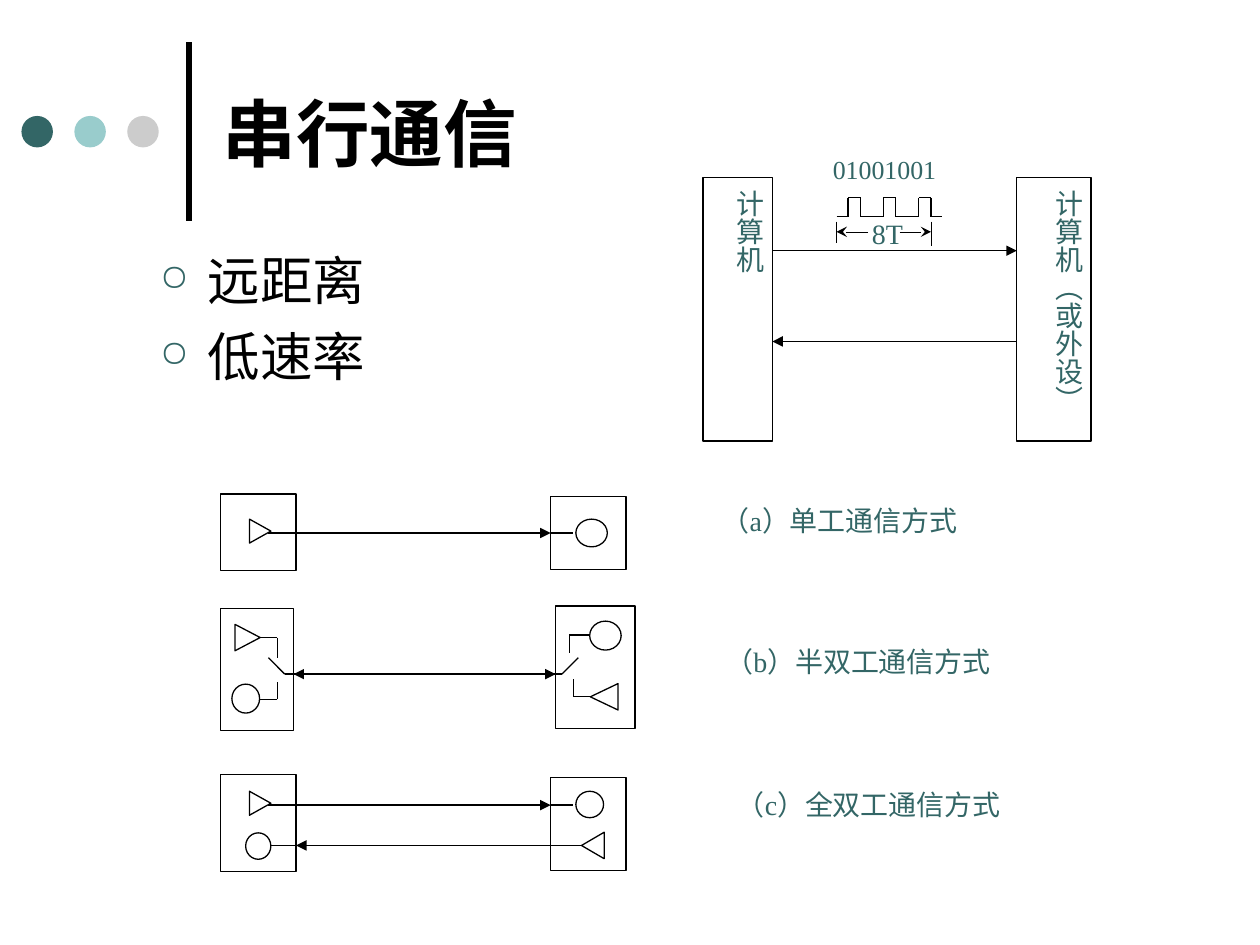
from itertools import pairwise

from lxml import etree
from pptx import Presentation, util as u
from pptx.dml.color import RGBColor
from pptx.enum import shapes as sh, text as tx
from pptx.oxml.ns import qn

SCALE = 9144
BLACK = RGBColor(0x00, 0x00, 0x00)
TEAL = RGBColor(0x33, 0x66, 0x66)
AQUA = RGBColor(0x99, 0xCC, 0xCC)
SILVER = RGBColor(0xCC, 0xCC, 0xCC)
SERIF = "Times New Roman"
RECT = sh.MSO_SHAPE.RECTANGLE
OVAL = sh.MSO_SHAPE.OVAL
TRIANGLE = sh.MSO_SHAPE.ISOSCELES_TRIANGLE
LABEL = {"size": u.Pt(16), "name": SERIF}
TITLE = {"size": u.Pt(42), "name": SERIF, "bold": True}
BULLET = {"size": u.Pt(30), "name": "Arial"}


def px(*lengths):
    return [length * SCALE for length in lengths]


def apply(target, formats):
    for name, value in formats.items():
        setattr(target, name, value)


def write(paragraph, words, font, color, **layout):
    paragraph.text = words
    apply(paragraph, layout)
    apply(paragraph.font, font)
    paragraph.font.color.rgb = color


def text_box(slide, box, **frame_formats):
    frame = slide.shapes.add_textbox(*px(*box)).text_frame
    apply(frame, {"word_wrap": True, **frame_formats})
    return frame


def no_insets():
    return {f"margin_{side}": 0 for side in ("left", "top", "right", "bottom")}


def outline(slide, kind, box, rotation=0):
    shape = slide.shapes.add_shape(kind, *px(*box))
    shape.shadow.inherit = False
    shape.rotation = rotation
    shape.fill.background()
    shape.line.color.rgb = BLACK
    shape.line.width = u.Pt(0.75)
    return shape


def line(slide, start, end, width=0.75, head=None, tail=None):
    wire = slide.shapes.add_connector(
        sh.MSO_CONNECTOR.STRAIGHT, *px(*start, *end))
    wire.line.color.rgb = BLACK
    wire.line.width = u.Pt(width)
    ln = wire.line._get_or_add_ln()
    for tag, arrow in (("a:headEnd", head), ("a:tailEnd", tail)):
        if arrow:
            etree.SubElement(ln, qn(tag), type=arrow)
    etree.SubElement(wire._element.spPr, qn("a:effectLst"))
    return wire


def polyline(slide, x, y, points):
    for (x1, y1), (x2, y2) in pairwise(points):
        line(slide, (x + x1, y + y1), (x + x2, y + y2))


def heading(slide, x, y, words):
    line(slide, (x + 133, y + 142), (x + 133, y), width=3)
    for index, color in enumerate((TEAL, AQUA, SILVER)):
        dot = outline(slide, OVAL, (x + 42 * index, y + 59, 25, 25))
        dot.fill.solid()
        dot.fill.fore_color.rgb = color
        dot.line.fill.background()
    frame = text_box(slide, (x + 150, y - 12, 767, 167),
                     vertical_anchor=tx.MSO_ANCHOR.MIDDLE)
    write(frame.paragraphs[0], words, TITLE, BLACK)


def bullet_list(slide, box, items):
    frame = text_box(slide, box)
    for index, item in enumerate(items):
        paragraph = frame.add_paragraph() if index else frame.paragraphs[0]
        properties = paragraph._p.get_or_add_pPr()
        properties.set("marL", str(38 * SCALE))
        properties.set("indent", str(-38 * SCALE))
        bullet_color = etree.SubElement(properties, qn("a:buClr"))
        etree.SubElement(bullet_color, qn("a:srgbClr"), val=str(TEAL))
        etree.SubElement(properties, qn("a:buSzPct"), val="70000")
        etree.SubElement(properties, qn("a:buChar"), char="○")
        write(paragraph, item, BULLET, BLACK,
              space_before=u.Pt(7.5 if index else 0))


def computer(slide, box, words):
    frame = outline(slide, RECT, box).text_frame
    apply(frame, {"margin_left": 5 * SCALE, "margin_right": 5 * SCALE,
                  "margin_top": 10 * SCALE, "margin_bottom": 10 * SCALE,
                  "vertical_anchor": tx.MSO_ANCHOR.TOP, "word_wrap": True})
    frame._txBody.bodyPr.set("vert", "eaVert")
    write(frame.paragraphs[0], words, LABEL, TEAL,
          alignment=tx.PP_ALIGN.CENTER)


def pulse_train(slide, x, y, bits, duration):
    points = [(0, 15)]
    for rise in (9, 37, 65):
        points += [(rise, 15), (rise, 0), (rise + 10, 0), (rise + 10, 15)]
    polyline(slide, x, y, points + [(84, 15)])
    for edge, bottom, inner in ((0, 36, 25), (75, 38, 50)):
        line(slide, (x + edge, y + 19), (x + edge, y + bottom), width=0.25)
        line(slide, (x + inner, y + 27), (x + edge, y + 27), width=0.25,
             tail="stealth")
    span = text_box(slide, (x + 28, y + 15, 28, 27), **no_insets())
    write(span.paragraphs[0], duration, LABEL, TEAL,
          alignment=tx.PP_ALIGN.JUSTIFY)
    stream = text_box(slide, (x - 3, y - 32, 91, 25), **no_insets())
    write(stream.paragraphs[0], bits, {**LABEL, "size": u.Pt(14.8)}, TEAL,
          alignment=tx.PP_ALIGN.JUSTIFY, line_spacing=0.9)


def serial_link(slide, x, y):
    computer(slide, (x, y, 55, 209), "计算机")
    computer(slide, (x + 249, y, 59, 209), "计算机（或外设）")
    line(slide, (x + 55, y + 58), (x + 249, y + 58), tail="triangle")
    line(slide, (x + 55, y + 130), (x + 249, y + 130), head="triangle")
    pulse_train(slide, x + 106, y + 16, "01001001", "8T")


def stations(slide, x, y, left_height, right_height):
    outline(slide, RECT, (x, y, 60, left_height))
    return outline(slide, RECT, (x + 262, y + 2, 60, right_height))


def forward_channel(slide, x, y, receiver_size):
    outline(slide, TRIANGLE, (x + 22, y - 10, 19, 17), 90)
    outline(slide, OVAL, (x + 282, y - 11, *receiver_size))
    outgoing = line(slide, (x + 38, y), (x + 262, y), tail="triangle")
    incoming = line(slide, (x + 262, y), (x + 280, y))
    return outgoing, incoming


def simplex(slide, x, y):
    station = stations(slide, x, y, 61, 58)
    outgoing, incoming = forward_channel(slide, x, y + 31, (25, 22))
    outgoing.end_connect(station, 1)
    incoming.begin_connect(station, 1)


def half_duplex(slide, x, y):
    for kind, (left, top, width, height), rotation in (
            (RECT, (0, 2, 58, 97), 0), (RECT, (266, 0, 63, 97), 0),
            (TRIANGLE, (11, 15, 21, 20), 90), (OVAL, (293, 12, 25, 23), 0),
            (OVAL, (9, 62, 22, 23), 0), (TRIANGLE, (294, 61, 21, 22), 270)):
        outline(slide, kind, (x + left, y + top, width, height), rotation)
    for wiring in (
            [(31, 25), (45, 25), (45, 41)],
            [(31, 74), (45, 74), (45, 60)],
            [(38, 41), (51, 54), (271, 54), (284, 41)],
            [(293, 23), (277, 23), (277, 37)],
            [(293, 72), (280, 72), (280, 58)]):
        polyline(slide, x, y, wiring)
    line(slide, (x + 58, y + 54), (x + 266, y + 54),
         head="triangle", tail="triangle")


def full_duplex(slide, x, y):
    stations(slide, x, y, 77, 74)
    forward_channel(slide, x, y + 24, (22, 21))
    outline(slide, OVAL, (x + 20, y + 46, 20, 21))
    outline(slide, TRIANGLE, (x + 285, y + 47, 21, 18), 270)
    line(slide, (x + 40, y + 56), (x + 286, y + 56))
    line(slide, (x + 259, y + 56), (x + 60, y + 56), tail="triangle")


def caption(slide, box, words):
    write(text_box(slide, box).paragraphs[0], words, LABEL, TEAL,
          alignment=tx.PP_ALIGN.JUSTIFY)


def main():
    deck = Presentation()
    deck.slide_width, deck.slide_height = px(1000, 750)
    slide = deck.slides.add_slide(deck.slide_layouts[6])
    heading(slide, 17, 33, "串行通信")
    bullet_list(slide, (117, 192, 308, 133), ("远距离", "低速率"))
    serial_link(slide, 558, 141)
    for mode, top, caption_box, words in (
            (simplex, 392, (563, 395, 268, 53), "（a）单工通信方式"),
            (half_duplex, 481, (566, 507, 286, 53), "（b）半双工通信方式"),
            (full_duplex, 615, (575, 620, 284, 53), "（c）全双工通信方式")):
        mode(slide, 175, top)
        caption(slide, caption_box, words)
    deck.save("out.pptx")


if __name__ == "__main__":
    main()
